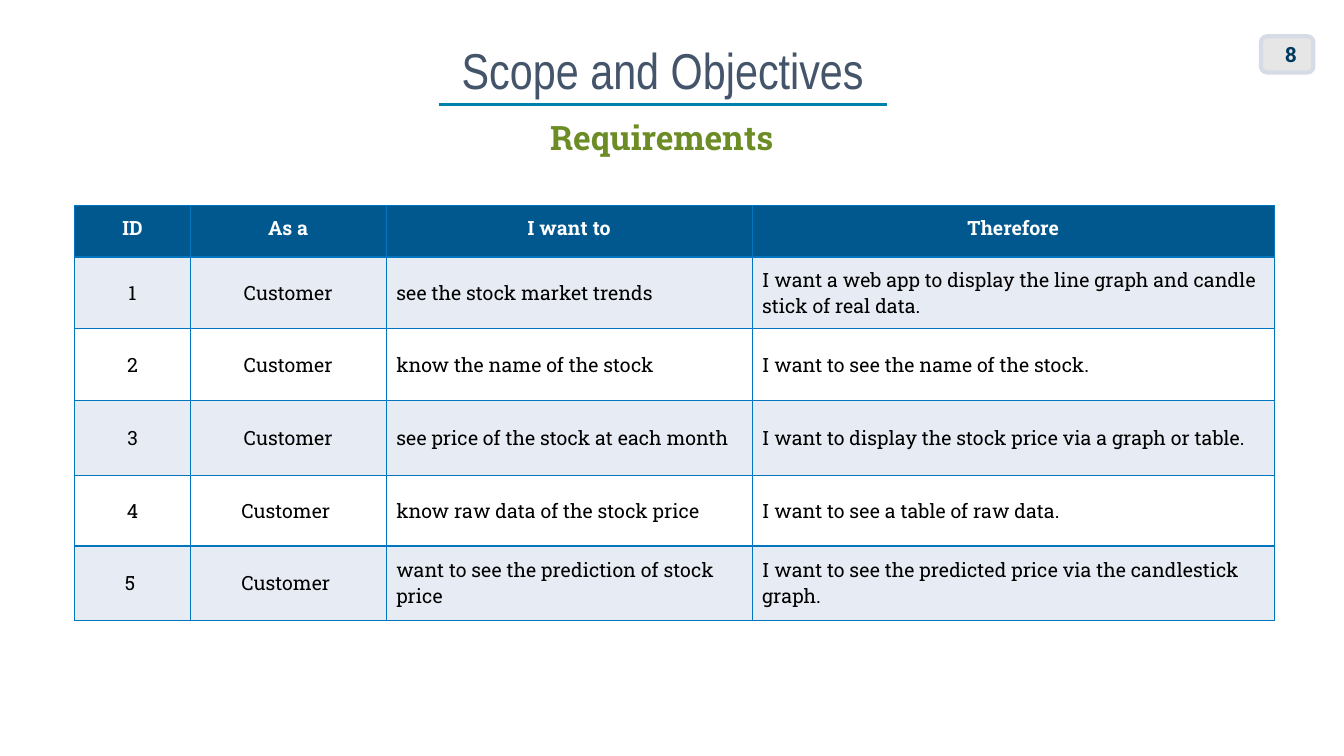
from lxml import etree
from pptx import Presentation
from pptx.dml.color import RGBColor
from pptx.enum.shapes import MSO_CONNECTOR, MSO_SHAPE
from pptx.enum.text import MSO_ANCHOR as Anchor, PP_ALIGN as Align
from pptx.oxml.ns import qn
from pptx.util import Pt

COLORS = {
    "title": "44546A", "subtitle": "6C8D26", "rule": "0081AB",
    "header": "01588E", "band": "E7ECF4", "white": "FFFFFF",
    "border": "0175BE", "text": "000000",
    "badge": "E7E6E6", "badge_line": "D6DCE5", "number": "003A5F",
}
SLAB = "Roboto Slab"


def add_run(paragraph, text, size, color, font=SLAB, bold=False):
    run = paragraph.add_run()
    run.text = text
    run.font.size = Pt(size)
    run.font.name = font
    run.font.bold = bold
    run.font.color.rgb = RGBColor.from_string(COLORS[color])


def add_borders(cell):
    """Draw a 1 pt line on all four sides; call before setting the fill."""
    properties = cell._tc.get_or_add_tcPr()
    for side in ("a:lnL", "a:lnR", "a:lnT", "a:lnB"):
        line = etree.SubElement(properties, qn(side), w=str(Pt(1)))
        fill = etree.SubElement(line, qn("a:solidFill"))
        etree.SubElement(fill, qn("a:srgbClr"), val=COLORS["border"])


prs = Presentation()
prs.slide_width, prs.slide_height = Pt(960), Pt(540)
slide = prs.slides.add_slide(prs.slide_layouts[5])
shapes = slide.shapes

# Title, rule and subtitle
title = shapes.title
title.left, title.top, title.width, title.height = Pt(236.9), Pt(20.9), Pt(473), Pt(54.7)
title.text_frame.vertical_anchor = Anchor.BOTTOM
heading = title.text_frame.paragraphs[0]
heading.alignment = Align.CENTER
heading.line_spacing = 0.9
add_run(heading, "Scope and Objectives", 36, "title", "Arial Narrow")

rule = shapes.add_connector(MSO_CONNECTOR.STRAIGHT, Pt(313.9), Pt(74.5), Pt(633.6), Pt(74.5))
rule.line.color.rgb = RGBColor.from_string(COLORS["rule"])
rule.line.width = Pt(2.25)
etree.SubElement(rule._element.spPr, qn("a:effectLst"))

subtitle = shapes.add_textbox(Pt(385.9), Pt(83.5), Pt(311.8), Pt(39.6)).text_frame
subtitle.word_wrap = True
requirements = subtitle.paragraphs[0]
requirements.line_spacing = 0.9
requirements.space_before = Pt(10)
add_run(requirements, "Requirements", 24, "subtitle", bold=True)

# Requirements table
stories = [
    ("ID", "As a", "I want to", "Therefore"),
    ("1", "Customer", "see the stock market trends",
     "I want a web app to display the line graph and candle stick of real data."),
    ("2", "Customer", "know the name of the stock", "I want to see the name of the stock."),
    ("3", "Customer", "see price of the stock at each month",
     "I want to display the stock price via a graph or table."),
    ("4", "Customer ", "know raw data of the stock price", "I want to see a table of raw data."),
    ("5 ", "Customer ", "want to see the prediction of stock price",
     "I want to see the predicted price via the candlestick graph."),
]
column_widths = [82.4, 140, 261.4, 373]
row_heights = [36.7, 51, 51.4, 53.6, 50.4, 53.3]

table = shapes.add_table(len(stories), len(column_widths), Pt(53.5), Pt(146.9),
                         Pt(sum(column_widths)), Pt(sum(row_heights))).table
for column, width in zip(table.columns, column_widths):
    column.width = Pt(width)

for r, (story, height) in enumerate(zip(stories, row_heights)):
    table.rows[r].height = Pt(height)
    is_header = r == 0
    background = "header" if is_header else ("band" if r % 2 else "white")
    for c, entry in enumerate(story):
        cell = table.cell(r, c)
        add_borders(cell)
        cell.fill.solid()
        cell.fill.fore_color.rgb = RGBColor.from_string(COLORS[background])
        cell.vertical_anchor = Anchor.MIDDLE
        cell.margin_left = cell.margin_right = Pt(7.2)
        cell.margin_top = cell.margin_bottom = Pt(7.2)
        paragraph = cell.text_frame.paragraphs[0]
        paragraph.alignment = Align.CENTER if is_header or c < 2 else Align.LEFT
        paragraph.space_after = Pt(8)
        if is_header:
            paragraph.line_spacing = Pt(13)
        add_run(paragraph, entry, 14, "white" if is_header else "text", bold=is_header)

# Page number
badge = shapes.add_shape(MSO_SHAPE.ROUNDED_RECTANGLE, Pt(900.7), Pt(25.9), Pt(37.4), Pt(25.9))
badge.shadow.inherit = False
badge.fill.solid()
badge.fill.fore_color.rgb = RGBColor.from_string(COLORS["badge"])
badge.line.color.rgb = RGBColor.from_string(COLORS["badge_line"])
badge.line.width = Pt(3)

page = shapes.add_textbox(Pt(910.1), Pt(24.5), Pt(18), Pt(28.8)).text_frame
page.word_wrap = True
page.margin_left, page.margin_right = Pt(0), Pt(2)
page.vertical_anchor = Anchor.MIDDLE
page.paragraphs[0].alignment = Align.RIGHT
add_run(page.paragraphs[0], "8", 15, "number", bold=True)

prs.save("out.pptx")
